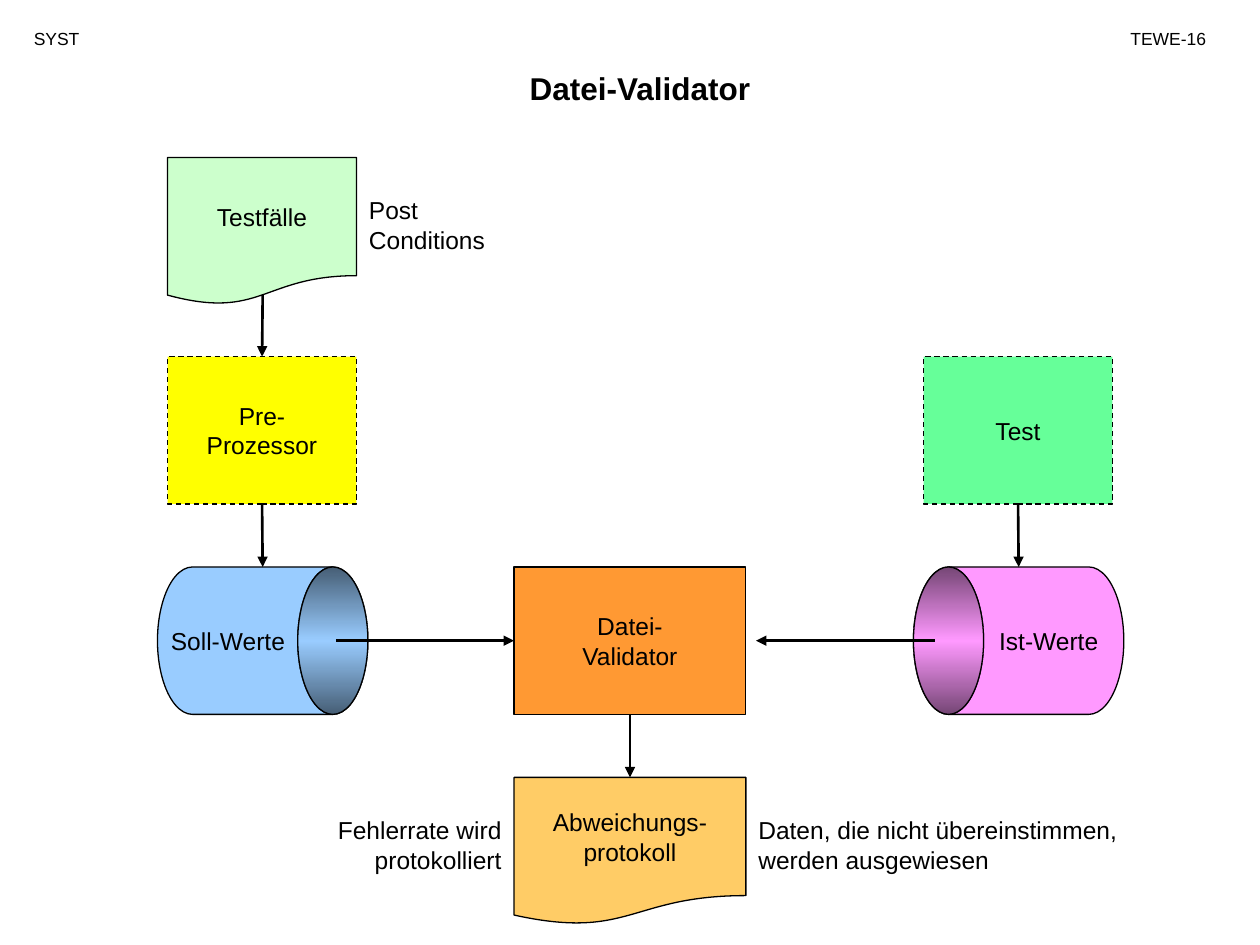
from copy import deepcopy

from pptx import Presentation
from pptx.dml.color import RGBColor
from pptx.enum.dml import MSO_LINE_DASH_STYLE as Dash
from pptx.enum.shapes import MSO_CONNECTOR as Connector, MSO_SHAPE as Shape
from pptx.enum.text import MSO_ANCHOR as Anchor, PP_ALIGN as Align
from pptx.oxml.ns import qn
from pptx.oxml.xmlchemy import OxmlElement
from pptx.util import Inches, Pt

COLORS = {
    "ink": "000000", "validator": "FF9933", "report": "FFCC66",
    "expected": "99CCFF", "expected_dark": "465E75",
    "actual": "FF99FF", "actual_dark": "754675",
    "preprocessor": "FFFF00", "cases": "CCFFCC", "test": "66FF99",
}
TOP, LEFT, BOTTOM = 0, 1, 2
BOX_HEIGHT, GAP = 1.17, 0.5


def color(name):
    """Return the named colour."""
    return RGBColor.from_string(COLORS[name])


def write(shape, lines, align=Align.CENTER, size=14, bold=False, **frame_format):
    """Write one paragraph per line into a shape."""
    frame = shape.text_frame
    for name, value in frame_format.items():
        setattr(frame, name, value)
    frame.text = "\n".join(lines)
    font_format = {"name": "Arial", "size": Pt(size), "bold": bold}
    for paragraph in frame.paragraphs:
        paragraph.alignment = align
        for name, value in font_format.items():
            setattr(paragraph.font, name, value)
        paragraph.font.color.rgb = color("ink")


def add_label(slide, box, lines, align=Align.LEFT, **text_format):
    """Add a wrapping text box."""
    label = slide.shapes.add_textbox(*map(Inches, box))
    write(label, lines, align, word_wrap=True, **text_format)


def add_node(slide, kind, box, fill, lines=(), dash=None, **frame_format):
    """Add an outlined shape with centred text."""
    node = slide.shapes.add_shape(kind, *map(Inches, box))
    node.shadow.inherit = False
    node.fill.solid()
    node.fill.fore_color.rgb = color(fill)
    node.line.color.rgb = color("ink")
    node.line.width = Pt(0.75)
    if dash:
        node.line.dash_style = dash
    write(node, lines, word_wrap=False, vertical_anchor=Anchor.MIDDLE, **frame_format)
    return node


def add_arrow(slide, start, end, source=None, target=None):
    """Add an arrow, joined to (shape, site) pairs where given."""
    arrow = slide.shapes.add_connector(Connector.STRAIGHT, *map(Inches, (*start, *end)))
    if source:
        arrow.begin_connect(*source)
    if target:
        arrow.end_connect(*target)
    arrow.line.color.rgb = color("ink")
    arrow.line.width = Pt(1.5)
    head = OxmlElement("a:tailEnd")
    head.set("type", "triangle")
    arrow.line._get_or_add_ln().append(head)
    arrow._element.spPr.append(OxmlElement("a:effectLst"))


def add_drum(slide, box, fill, text, flipped=False, **insets):
    """Add a lying drum whose open end is shaded."""
    left, top, width, height = box
    end_width = width / 3
    drum = add_node(slide, Shape.FLOWCHART_DIRECT_ACCESS_STORAGE, box, fill, [text], **insets)
    if flipped:
        drum._element.spPr.xfrm.set("flipH", "1")
    end_left = left if flipped else left + width - end_width
    end = add_node(slide, Shape.OVAL, (end_left, top, end_width, height), fill)
    end.fill.gradient()
    end.fill.gradient_angle = 90
    stops = end._element.spPr.find(".//" + qn("a:gsLst"))
    stops.append(deepcopy(stops[0]))
    shades = ((0, f"{fill}_dark"), (0.5, fill), (1, f"{fill}_dark"))
    for stop, (position, shade) in zip(end.fill.gradient_stops, shades):
        stop.position = position
        stop.color.rgb = color(shade)
    return drum


def add_header(slide, box):
    """Add the course name, page number and title."""
    left, top, width = box
    add_label(slide, (left, top, 0.92, 0.27), ["SYST"], size=10)
    add_label(slide, (left + width - 1, top, 1, 0.27), ["TEWE-16"], Align.RIGHT, size=10)
    add_label(slide, (2.08, top + 0.33, 6, 0.4), ["Datei-Validator"],
              Align.CENTER, size=18, bold=True)


def add_expected_column(slide, box):
    """Add the path from test cases to expected values."""
    left, top, width = box
    center, node_left, node_width = left + width / 2, left + 0.08, 1.5
    process_top = top + 1.58
    drum_top = process_top + BOX_HEIGHT + GAP
    add_node(slide, Shape.FLOWCHART_DOCUMENT, (node_left, top, node_width, BOX_HEIGHT),
             "cases", ["Testfälle"])
    process = add_node(slide, Shape.RECTANGLE, (node_left, process_top, node_width, BOX_HEIGHT),
                       "preprocessor", ["Pre-", "Prozessor"], Dash.DASH)
    drum = add_drum(slide, (left, drum_top, width, BOX_HEIGHT), "expected", "Soll-Werte",
                    margin_right=Inches(0.37))
    add_label(slide, (node_left + node_width, top + 0.25, 1.5, 0.57), ["Post Conditions"])
    add_arrow(slide, (center, top + 1.09), (center, process_top), target=(process, TOP))
    add_arrow(slide, (center, drum_top - GAP), (center, drum_top), (process, BOTTOM), (drum, TOP))


def add_actual_column(slide, box):
    """Add the path from the test to actual values."""
    left, top, width = box
    center, drum_top = left + width / 2, top + BOX_HEIGHT + GAP
    test = add_node(slide, Shape.RECTANGLE, (left + 0.08, top, 1.5, BOX_HEIGHT),
                    "test", ["Test"], Dash.DASH)
    drum = add_drum(slide, (left, drum_top, width, BOX_HEIGHT), "actual", "Ist-Werte",
                    flipped=True, margin_left=Inches(0.3))
    add_arrow(slide, (center, drum_top - GAP), (center, drum_top), (test, BOTTOM), (drum, TOP))


def add_validator(slide, box):
    """Add the validator, its inputs and its report."""
    left, top, width = box
    right, center = left + width, left + width / 2
    middle, report_top = top + BOX_HEIGHT / 2, top + BOX_HEIGHT + GAP
    validator = add_node(slide, Shape.RECTANGLE, (left, top, width, BOX_HEIGHT),
                         "validator", ["Datei-", "Validator"])
    report = add_node(slide, Shape.FLOWCHART_DOCUMENT, (left, report_top, width, BOX_HEIGHT),
                      "report", ["Abweichungs-", "protokoll"])
    add_arrow(slide, (left - 1.41, middle), (left, middle), target=(validator, LEFT))
    add_arrow(slide, (right + 1.5, middle), (right + 0.08, middle))
    add_arrow(slide, (center, report_top - GAP), (center, report_top),
              (validator, BOTTOM), (report, TOP))
    label_top = report_top + 0.25
    add_label(slide, (left - 2.42, label_top, 2.42, 0.57),
              ["Fehlerrate wird", "protokolliert"], Align.RIGHT)
    add_label(slide, (right, label_top, 3.08, 0.57),
              ["Daten, die nicht übereinstimmen,", "werden ausgewiesen"])


def main():
    """Build and save the slide."""
    presentation = Presentation()
    presentation.slide_width, presentation.slide_height = Inches(10), Inches(7.5)
    slide = presentation.slides.add_slide(presentation.slide_layouts[6])
    add_header(slide, (0.17, 0.17, 9.5))
    add_expected_column(slide, (1.25, 1.25, 1.67))
    add_actual_column(slide, (7.25, 2.83, 1.67))
    add_validator(slide, (4.08, 4.5, 1.84))
    presentation.save("out.pptx")


if __name__ == "__main__":
    main()
